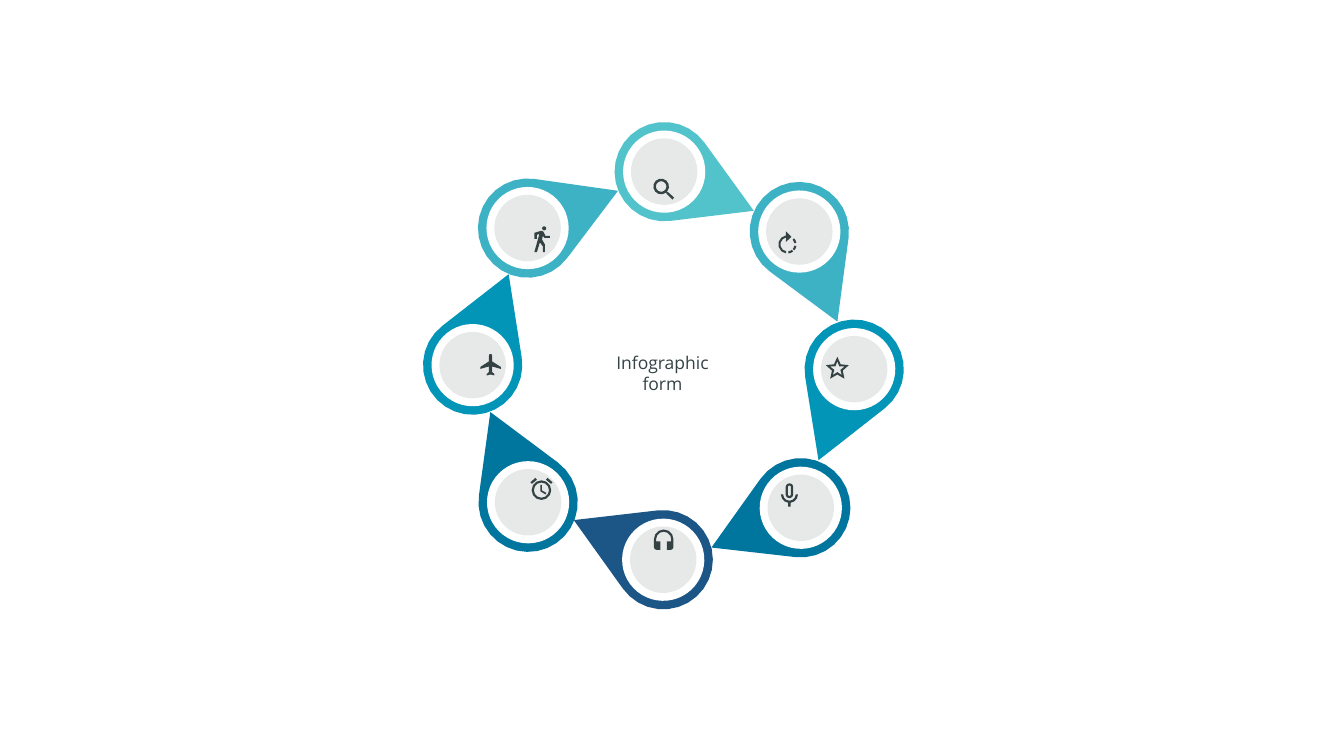
from math import acos, cos, degrees, radians, sin

from pptx import Presentation
from pptx.dml.color import RGBColor
from pptx.enum.shapes import MSO_SHAPE
from pptx.enum.text import MSO_ANCHOR, PP_ALIGN
from pptx.util import Pt

OVAL = MSO_SHAPE.OVAL
MIDDLE = MSO_ANCHOR.MIDDLE
CENTER = PP_ALIGN.CENTER

COLORS = {
    "aqua": "53C3CB",
    "turquoise": "3DB2C4",
    "cyan": "0395B8",
    "blue": "00759E",
    "navy": "1C5686",
    "white": "FFFFFF",
    "gray": "E7E9E9",
    "icon": "354244",
    "text": "344245",
}


def arc(x, y, radius, start, end, step=30):
    count = max(2, round(abs(end - start) / step))
    angles = [radians(start + (end - start) * i / count) for i in range(count + 1)]
    return [(x + radius * cos(a), y + radius * sin(a)) for a in angles]


def draw_outline(contours, x, y, color):
    placed = [[(Pt(x + dx), Pt(y + dy)) for dx, dy in contour] for contour in contours]
    builder = slide.shapes.build_freeform(*placed[0][0], scale=1.0)
    builder.add_line_segments(placed[0][1:], close=True)
    for contour in placed[1:]:
        builder.move_to(*contour[0])
        builder.add_line_segments(contour[1:], close=True)
    shape = builder.convert_to_shape()
    shape.shadow.inherit = False
    shape.fill.solid()
    shape.fill.fore_color.rgb = RGBColor.from_string(COLORS[color])
    shape.line.fill.background()
    return shape


presentation = Presentation()
presentation.slide_width = Pt(1919.52)
presentation.slide_height = Pt(1080)
slide = presentation.slides.add_slide(presentation.slide_layouts[6])

RADIUS = 70.9
TIP = 139.7
tangent = degrees(acos(RADIUS / TIP))
teardrop = arc(0, 0, RADIUS, 90 + tangent, 450 - tangent, 12) + [(0, TIP)]
shift = (TIP - RADIUS) / 2

segments = [
    (947.2, 799.6, 113.9, "navy"),
    (754.2, 717.5, 157.3, "blue"),
    (1143.7, 725.4, 66, "blue"),
    (675, 521.6, 201.6, "cyan"),
    (753.5, 325.8, 247.6, "turquoise"),
    (948.6, 245.2, 293.6, "aqua"),
    (1141.6, 330.8, 337.1, "turquoise"),
    (1220, 527.4, 21.4, "cyan"),
]
for x, y, rotation, color in segments:
    angle = radians(rotation)
    pointer = draw_outline(
        [teardrop], x - shift * sin(angle), y + shift * (cos(angle) - 1), color
    )
    pointer.rotation = rotation
    for radius, disc_color in ((58.7, "white"), (47.5, "gray")):
        disc = slide.shapes.add_shape(
            OVAL, Pt(x - radius), Pt(y - radius), Pt(2 * radius), Pt(2 * radius)
        )
        disc.rotation = rotation
        disc.shadow.inherit = False
        disc.fill.solid()
        disc.fill.fore_color.rgb = RGBColor.from_string(COLORS[disc_color])
        disc.line.fill.background()

caption = slide.shapes.add_textbox(Pt(873.4), Pt(499), Pt(145.4), Pt(67.7))
frame = caption.text_frame
frame.word_wrap = False
frame.vertical_anchor = MIDDLE
frame.margin_left = frame.margin_right = Pt(4.3)
frame.margin_top = frame.margin_bottom = Pt(4.3)
frame.text = "Infographic\nform"
for paragraph in frame.paragraphs:
    paragraph.alignment = CENTER
    paragraph.font.name = "Open Sans"
    paragraph.font.size = Pt(25)
    paragraph.font.color.rgb = RGBColor.from_string(COLORS["text"])

star = [
    [
        (r * sin(radians(36 * i)), -r * cos(radians(36 * i)))
        for i in range(10)
        for r in [inner if i % 2 else outer]
    ]
    for outer, inner in ((17.3, 8.1), (10.8, 4.6))
]

rotate = [
    arc(0, 0, 13, 100, 260)
    + [(-2.2, -18.7), (5.8, -10.8), (-2.2, -3.6)]
    + arc(0, 0, 10, 260, 100)
]
for start, end in ((-42, -10), (10, 40), (50, 83)):
    rotate.append(arc(0, 0, 13, start, end) + arc(0, 0, 10, end, start))

magnifier = [
    arc(0, 0, 11.2, 52, 400)
    + [(8.3, 7.9), (9.7, 7.9), (18.4, 15.8), (16.2, 18.7), (7.6, 10.1), (7.6, 8.6)],
    arc(0, 0, 7.6, 0, 360),
]

microphone = [
    arc(0, -10.4, radius, 180, 360) + arc(0, 0, radius, 0, 180) for radius in (5.4, 2.2)
]
microphone.append(
    arc(0, 0, 9, 0, 180)
    + arc(0, 0, 12.2, 180, 98)
    + [(-1.8, 17.3), (1.8, 17.3)]
    + arc(0, 0, 12.2, 82, 0)
)

bell = [(15.8, -11.2), (8.6, -17.6), (6.5, -14.8), (13.7, -9)]
alarm_clock = [
    arc(0, 0, 14, 0, 360),
    arc(0, 0, 10.8, 0, 360),
    [(0.7, -7.6), (-1.4, -7.6), (-1.4, 1.8), (5.8, 6.1), (7.2, 4), (0.7, 0.4)],
    bell,
    [(-x, y) for x, y in bell],
]

half_plane = arc(0, -13.3, 2.2, -90, 0) + [
    (2.2, -5), (14.6, 2.9), (14.6, 5.8), (2.2, 2.2),
    (2.2, 10.1), (5.4, 13), (5.4, 15.1), (0, 13.7),
]
plane = [half_plane + [(-x, y) for x, y in half_plane[-2:0:-1]]]

headphones = [
    arc(0, 0, 14, 180, 360)
    + arc(9.7, 10.8, 4.3, 0, 90)
    + [(4.7, 15.1), (4.7, 2.9), (10.8, 2.9)]
    + arc(0, 0, 10.8, 360, 180)
    + [(-10.8, 2.9), (-4.7, 2.9), (-4.7, 15.1)]
    + arc(-9.7, 10.8, 4.3, 90, 180)
]

walker = [
    arc(3.2, -15.8, 2.9, 0, 360),
    [
        (3.6, -2.2), (11.5, -2.2), (11.5, -5), (5, -5), (2.2, -10.8), (0.7, -12),
        (-1.4, -12.2), (-10.8, -9.4), (-10.8, -0.7), (-7.2, -0.7), (-7.2, -6.5),
        (-3.6, -7.9), (-10.8, 18), (-7.2, 18), (-2.9, 4.3), (1.4, 10.1), (1.4, 18),
        (4.3, 18), (4.3, 7.2), (0, 0), (1.4, -5),
    ],
]

icons = [
    (star, 1195.9, 527),
    (rotate, 1124.6, 349.2),
    (magnifier, 944.3, 266.4),
    (microphone, 1127.5, 706.3),
    (alarm_clock, 773.3, 700.2),
    (plane, 700.6, 521.3),
    (headphones, 947.9, 770.4),
    (walker, 774, 342),
]
for contours, x, y in icons:
    draw_outline(contours, x, y, "icon")

presentation.save("out.pptx")
